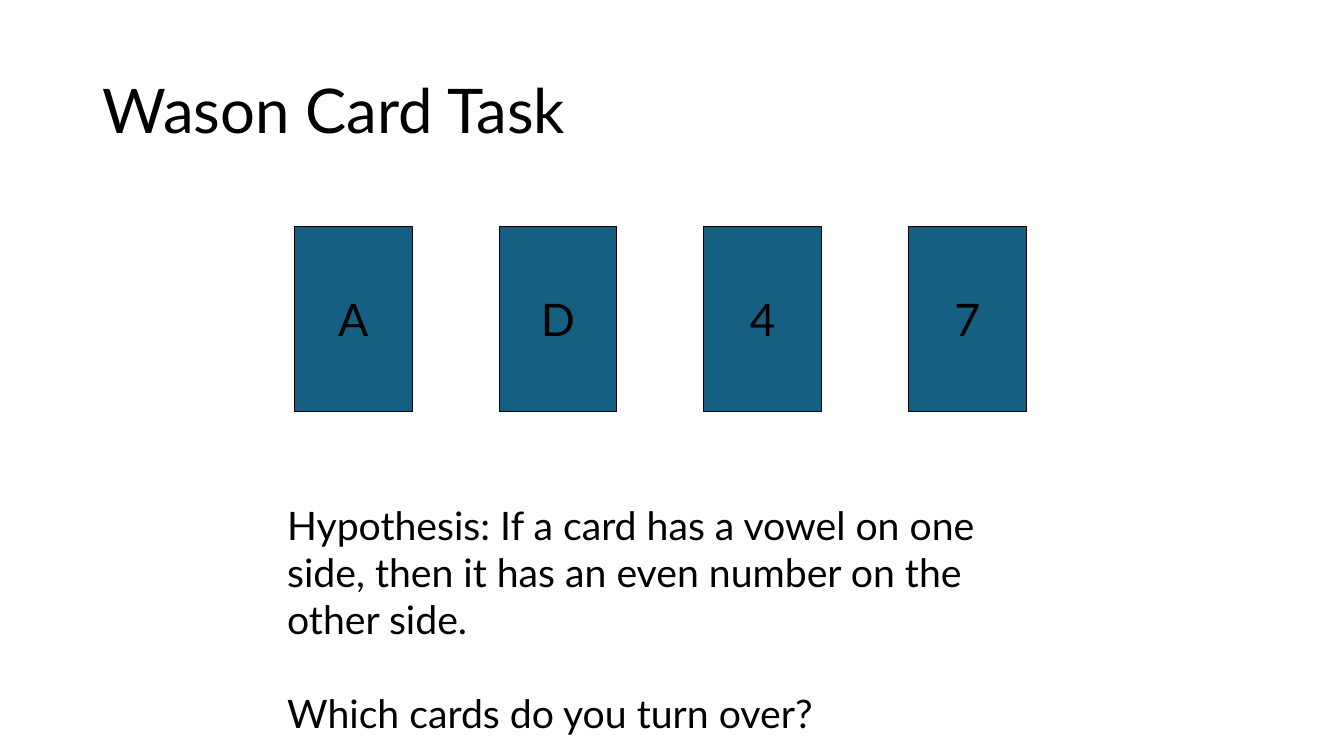
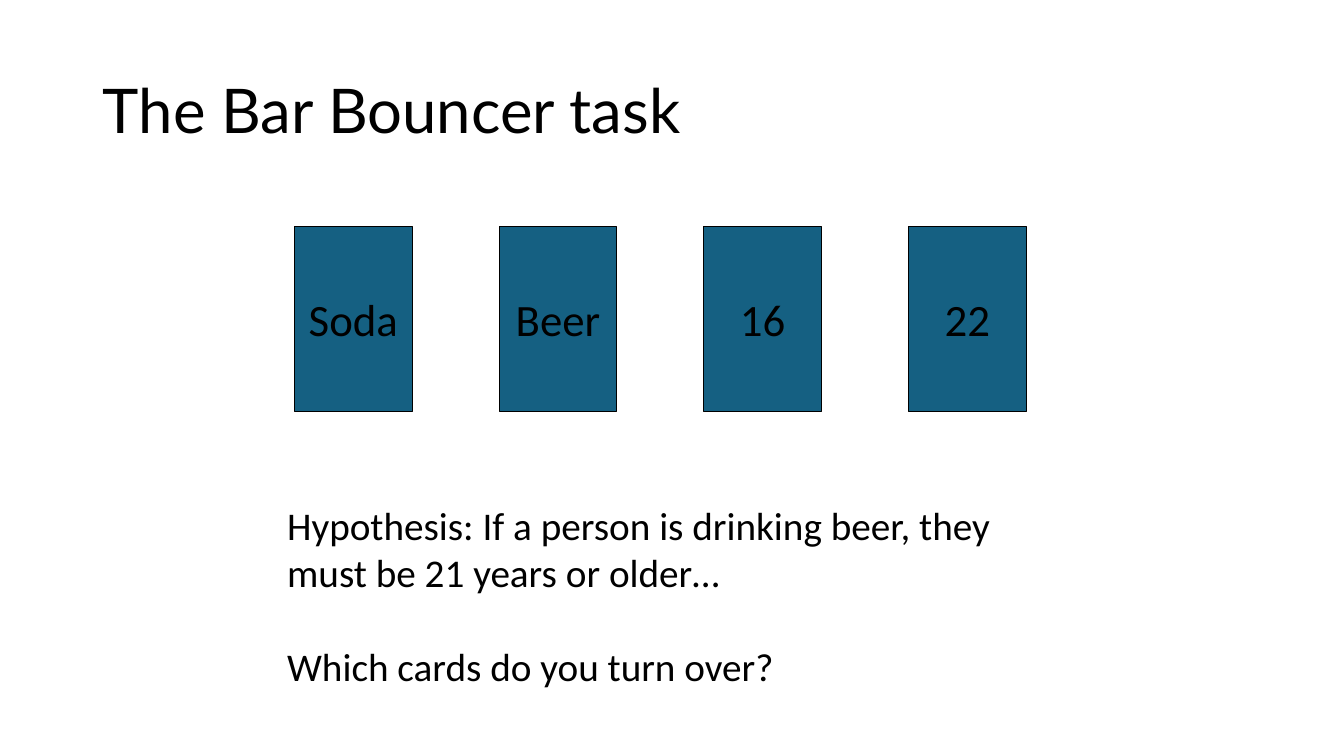
"""Build two card-selection task slides."""
from dataclasses import dataclass

from pptx import Presentation
from pptx import util as u
from pptx.dml.color import RGBColor
from pptx.enum import shapes, text


@dataclass(frozen=True)
class Theme:
    ink: RGBColor = RGBColor(0x00, 0x00, 0x00)
    card: RGBColor = RGBColor(0x15, 0x60, 0x82)
    title_font: str = "Lato"
    title_size: int = 44
    card_size: int = 32
    body_size: int = 28
    paragraph_gap: int = 34


THEME = Theme()
CARD_LEFT, CARD_TOP, CARD_PITCH = 2.92, 2.25, 2.03
CARD_WIDTH, CARD_HEIGHT = 1.17, 1.83
QUESTION = "Which cards do you turn over?"


def box(left, top, width, height):
    return [u.Inches(v) for v in (left, top, width, height)]


def style(p, font, size, align=text.PP_ALIGN.LEFT):
    p.alignment = align
    p.font.name = font
    p.font.size = u.Pt(size)
    p.font.color.rgb = THEME.ink


def set_title(s, title):
    sp = s.shapes.title
    sp.left, sp.top, sp.width, sp.height = box(0.92, 0.4, 11.5, 1.45)
    tf = sp.text_frame
    tf.text = title
    tf.auto_size = text.MSO_AUTO_SIZE.NONE
    tf.vertical_anchor = text.MSO_ANCHOR.MIDDLE
    p = tf.paragraphs[0]
    p.line_spacing = 0.9
    style(p, THEME.title_font, THEME.title_size)


def add_card(s, index, label, font):
    left = CARD_LEFT + index * CARD_PITCH
    sp = s.shapes.add_shape(shapes.MSO_SHAPE.RECTANGLE,
                            *box(left, CARD_TOP, CARD_WIDTH, CARD_HEIGHT))
    sp.shadow.inherit = False
    sp.fill.solid()
    sp.fill.fore_color.rgb = THEME.card
    sp.line.color.rgb = THEME.ink
    sp.line.width = u.Pt(0.75)
    tf = sp.text_frame
    tf.text = label
    tf.word_wrap = False
    tf.vertical_anchor = text.MSO_ANCHOR.MIDDLE
    style(tf.paragraphs[0], font, THEME.card_size, text.PP_ALIGN.CENTER)


def add_prompt(s, hypothesis, font, height):
    tf = s.shapes.add_textbox(*box(2.75, 4.92, 7.6, height)).text_frame
    tf.word_wrap = True
    tf.auto_size = text.MSO_AUTO_SIZE.SHAPE_TO_FIT_TEXT
    tf.text = hypothesis
    p = tf.add_paragraph()
    p.text = QUESTION
    p.space_before = u.Pt(THEME.paragraph_gap)
    for p in tf.paragraphs:
        style(p, font, THEME.body_size)


def add_task_slide(prs, title, labels, hypothesis, font, prompt_height):
    s = prs.slides.add_slide(prs.slide_layouts.get_by_name("Title Only"))
    set_title(s, title)
    for index, label in enumerate(labels):
        add_card(s, index, label, font)
    add_prompt(s, hypothesis, font, prompt_height)


def main():
    prs = Presentation()
    prs.slide_width, prs.slide_height = u.Inches(13.33), u.Inches(7.5)
    add_task_slide(
        prs, "Wason Card Task", ["A", "D", "4", "7"],
        "Hypothesis: If a card has a vowel on one side, "
        "then it has an even number on the other side.", "Lato", 2.44)
    add_task_slide(
        prs, "The Bar Bouncer task", ["Soda", "Beer", "16", "22"],
        "Hypothesis: If a person is drinking beer, "
        "they must be 21 years or older…", "Calibri", 1.99)
    prs.save("out.pptx")


if __name__ == "__main__":
    main()
